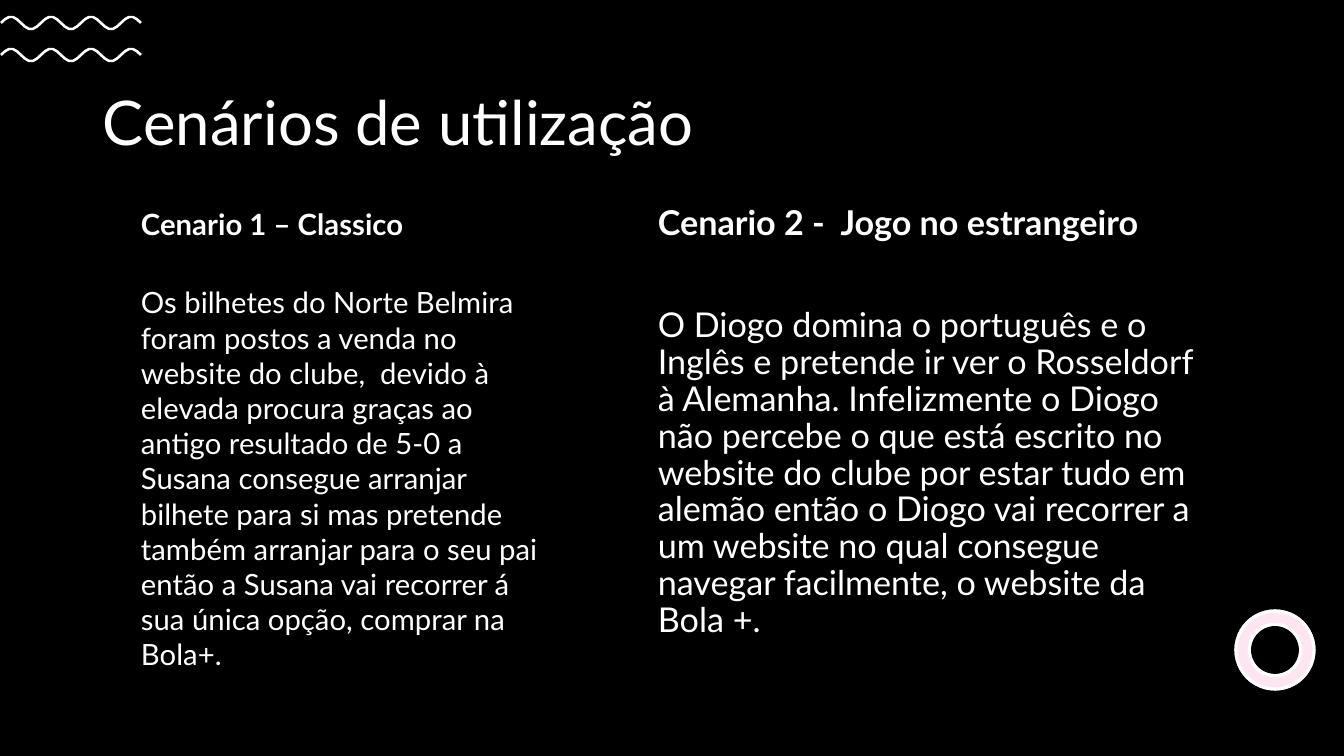
from math import cos, sin, pi, hypot
from lxml.etree import SubElement
from pptx import Presentation
from pptx.dml.color import RGBColor as RGB
from pptx.enum.shapes import MSO_SHAPE as Kind
from pptx.enum.text import MSO_ANCHOR as Anchor
from pptx.oxml.ns import qn
from pptx.util import Emu, Pt

THEME = {
    "font": "Lato",
    "back": RGB(0, 0, 0),
    "ink": RGB(255, 255, 255),
    "pink": RGB(0xFF, 0x80, 0xBD),
    "title": 44,
    "left": 20.95,
    "right": 24.4,
    "line": 2.25,
}
UNIT = 914400 / 100.8


def px(*nums):
    return [Emu(round(n * UNIT)) for n in nums]


def write(box, texts, size, lead=None, gap=0):
    """Fill box with paragraphs; gap is the space in points between them."""
    frame = box.text_frame
    frame.word_wrap = True
    frame.text = "\n".join(texts)
    for par in frame.paragraphs:
        par.line_spacing = lead
        for run in par.runs:
            run.font.name = THEME["font"]
            run.font.size = Pt(size)
            run.font.color.rgb = THEME["ink"]
            run.font.bold = False
    frame.paragraphs[0].space_after = Pt(gap)
    return frame


deck = Presentation()
deck.slide_width, deck.slide_height = px(1344, 756)
slide = deck.slides.add_slide(deck.slide_layouts[6])
shapes = slide.shapes

# Background
slide.background.fill.solid()
slide.background.fill.fore_color.rgb = THEME["back"]
panel = shapes.add_shape(Kind.RECTANGLE, *px(0, 0, 1344, 756))
panel.shadow.inherit = False
panel.fill.solid()
panel.fill.fore_color.rgb = THEME["back"]
panel.line.fill.background()

# Title
title = shapes.add_textbox(*px(93, 63, 1159, 124))
frame = write(title, ["Cenários de utilização"], THEME["title"], 0.9)
frame.vertical_anchor = Anchor.MIDDLE

# Two wavy bands, each an even stripe around a cosine
HIGH, SPAN, CREST, HALF = 6.25, 40, 11, 1.3
waves = shapes.add_group_shape()
for mid in (55, 23):
    upper, lower = [], []
    for x in range(1, 142, 4):
        turn = 2 * pi * (x - CREST) / SPAN
        y = mid - HIGH * cos(turn)
        slope = HIGH * 2 * pi / SPAN * sin(turn)
        norm = HALF / hypot(slope, 1)
        upper.append(px(x + slope * norm, y - norm))
        lower.append(px(x - slope * norm, y + norm))
    edge = upper + lower[::-1]
    pen = waves.shapes.build_freeform(*edge[0])
    pen.add_line_segments(edge[1:], close=True)
    wave = pen.convert_to_shape()
    wave.shadow.inherit = False
    wave.fill.solid()
    wave.fill.fore_color.rgb = THEME["ink"]
    wave.line.fill.background()

# Ring: white below, translucent pink above
for tint, alpha in ((THEME["ink"], 100), (THEME["pink"], 20)):
    ring = shapes.add_shape(Kind.DONUT, *px(1236, 611, 78, 78))
    ring.adjustments[0] = 0.17
    ring.shadow.inherit = False
    ring.fill.solid()
    ring.fill.fore_color.rgb = tint
    ring.line.color.rgb = THEME["ink"]
    ring.line.width = Pt(THEME["line"])
    if alpha < 100:
        color = ring._element.spPr.find(qn("a:solidFill"))[0]
        SubElement(color, qn("a:alpha")).set("val", str(alpha * 1000))

# Scenarios: place, size, line spacing, gap, heading, body
CASES = [
    ((131, 201, 423, 480), THEME["left"], None, 31, "Cenario 1 – Classico",
     "Os bilhetes do Norte Belmira foram postos a venda no website do clube,  "
     "devido à elevada procura graças ao antigo resultado de 5-0 a Susana "
     "consegue arranjar bilhete para si mas pretende também arranjar para o "
     "seu pai então a Susana vai recorrer á sua única opção, comprar na Bola+."),
    ((648, 201, 566, 487), THEME["right"], 0.9, 46.5,
     "Cenario 2 -  Jogo no estrangeiro",
     "O Diogo domina o português e o Inglês e pretende ir ver o Rosseldorf à "
     "Alemanha. Infelizmente o Diogo não percebe o que está escrito no website "
     "do clube por estar tudo em alemão então o Diogo vai recorrer a um website "
     "no qual consegue navegar facilmente, o website da Bola +."),
]
for place, size, lead, gap, head, body in CASES:
    box = shapes.add_textbox(*px(*place))
    frame = write(box, [head, body], size, lead, gap)
    frame.paragraphs[0].runs[0].font.bold = True

deck.save("out.pptx")
